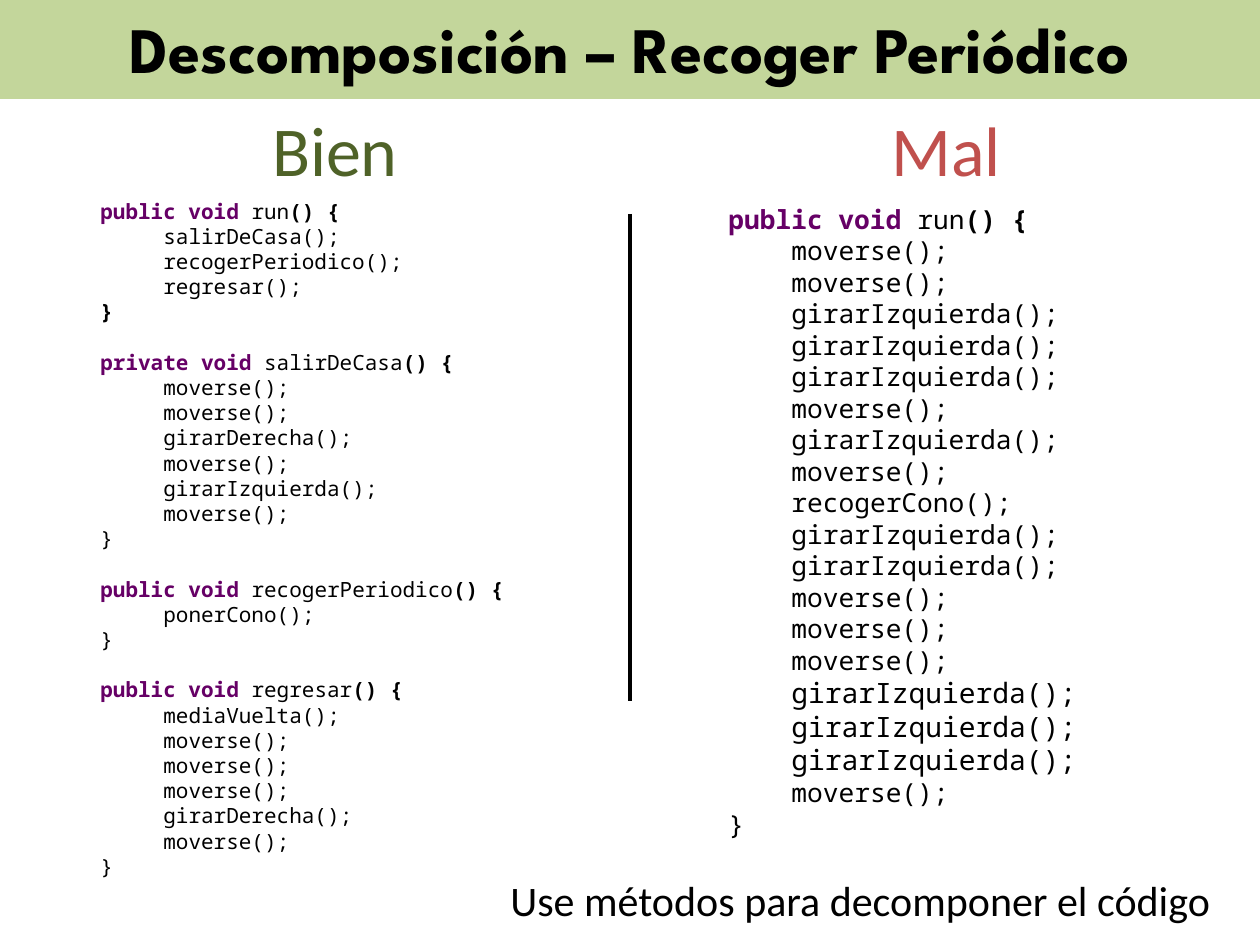
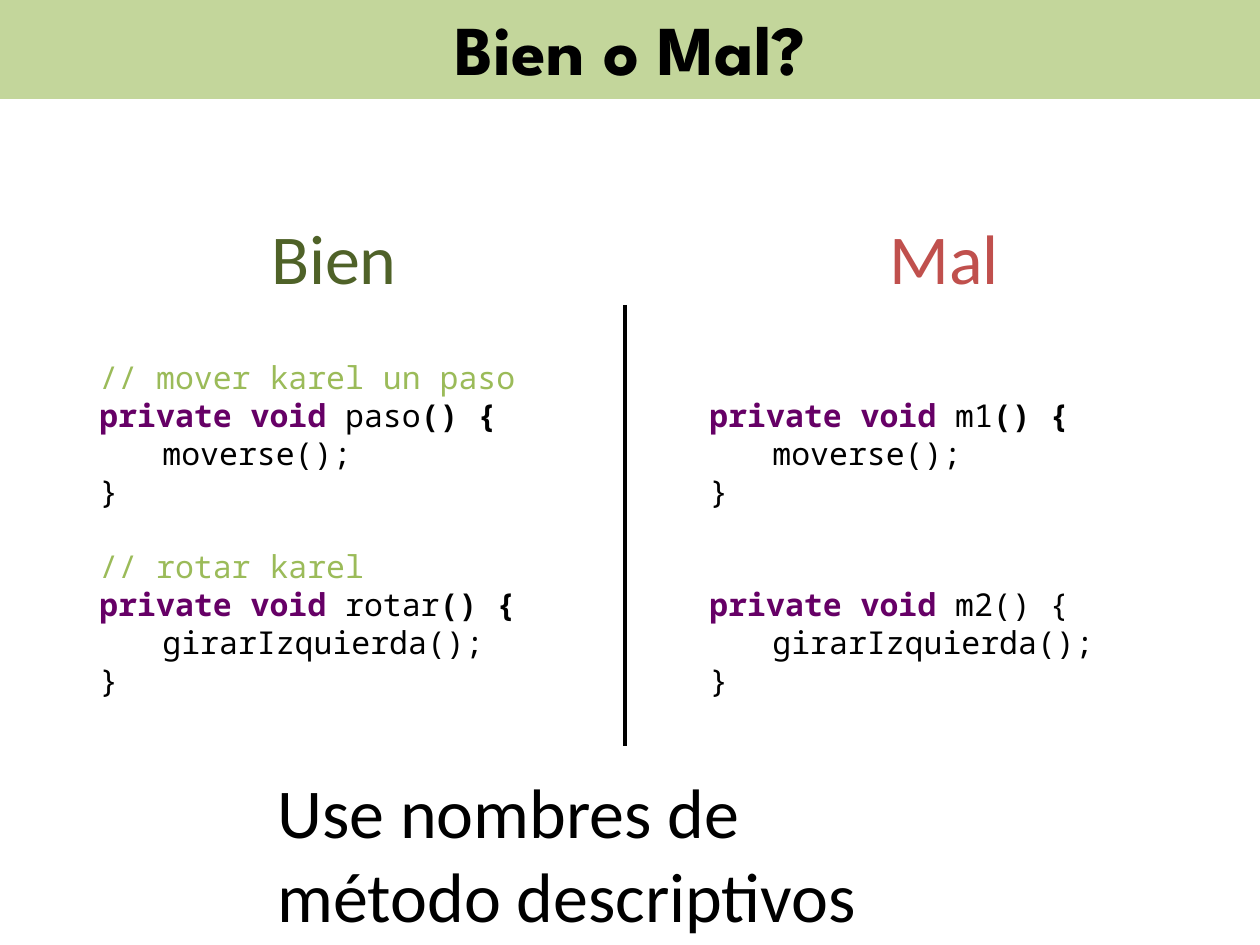
from lxml import etree
from pptx import Presentation
from pptx import util as u
from pptx.dml.color import RGBColor
from pptx.enum import shapes, text
from pptx.oxml.ns import qn

PX = 914400 / 126
COLORS = {
    "band": "C3D69B", "black": "000000", "white": "FFFFFF",
    "good": "4F6228", "bad": "C0504D", "keyword": "660066", "comment": "9BBB59",
}
TITLE_FONT, BODY_FONT, CODE_FONT = "League Spartan", "Calibri", "Noto Sans Mono"
TAB = 63          # indent of a code line
LINE_PITCH = 1.2  # code line height per point of size


def emu(*lengths):
    return [u.Emu(round(n * PX)) for n in lengths]


def put_text(s, content, box, size=40, font=BODY_FONT, color="black", bold=False,
             center=False, fill=None, middle=False, code=False, larger=()):
    """Lines of text; in code, *...* is bold and bold words are keywords."""
    sp = s.shapes.add_textbox(*emu(*box))
    if fill:
        sp.fill.solid()
        sp.fill.fore_color.rgb = RGBColor.from_string(COLORS[fill])
    tf = sp.text_frame
    tf.word_wrap = True
    tf.vertical_anchor = text.MSO_ANCHOR.MIDDLE if middle else text.MSO_ANCHOR.TOP
    blanks, p = 0, None
    for i, line in enumerate(content.strip().split("\n")):
        if not line:
            blanks += 1
            continue
        p = tf.add_paragraph() if p is not None else tf.paragraphs[0]
        p.alignment = text.PP_ALIGN.CENTER if center else text.PP_ALIGN.LEFT
        points = size + 1 if i in larger else size
        if code:
            p.line_spacing = u.Pt(points * LINE_PITCH)
            p.space_before = u.Pt(blanks * size * LINE_PITCH)
            tabs = etree.SubElement(p._p.get_or_add_pPr(), qn("a:tabLst"))
            etree.SubElement(tabs, qn("a:tab"), pos=str(emu(TAB)[0]), algn="l")
            line = line.replace("    ", "\t")
        blanks = 0
        for n, part in enumerate(line.split("*") if code else [line]):
            if not part:
                continue
            r = p.add_run()
            r.text = part
            r.font.name, r.font.size = font, u.Pt(points)
            r.font.bold = bold or n % 2 == 1
            tone = color
            if code and part.startswith("//"):
                tone = "comment"
            elif n % 2 and part.startswith("p"):
                tone = "keyword"
            r.font.color.rgb = RGBColor.from_string(COLORS[tone])


prs = Presentation()
prs.slide_width, prs.slide_height = emu(1260, 945)

# Code samples
run_good = """
*public void *run*() {*
    salirDeCasa();
    recogerPeriodico();
    regresar();
*}*

*private void *salirDeCasa*() {*
    moverse();
    moverse();
    girarDerecha();
    moverse();
    girarIzquierda();
    moverse();
}

*public void *recogerPeriodico*() {*
    ponerCono();
}

*public void *regresar*() {*
    mediaVuelta();
    moverse();
    moverse();
    moverse();
    girarDerecha();
    moverse();
}
"""
run_bad = """
*public void *run*() {*
    moverse();
    moverse();
    girarIzquierda();
    girarIzquierda();
    girarIzquierda();
    moverse();
    girarIzquierda();
    moverse();
    recogerCono();
    girarIzquierda();
    girarIzquierda();
    moverse();
    moverse();
    moverse();
    girarIzquierda();
    girarIzquierda();
    girarIzquierda();
    moverse();
}
"""
names_good = """
// mover karel un paso
*private void *paso*() {*
    moverse();
}

// rotar karel
*private void *rotar*() {*
    girarIzquierda();
}
"""
names_bad = """
*private void *m1*() {*
    moverse();
}


*private void *m2() {
    girarIzquierda();
}
"""

slides = [
    dict(title="Descomposición – Recoger Periódico", title_size=37,
         good_x=88, bad_x=699, heading_y=100, divider=(630, 214, 630, 701),
         caption="Use métodos para decomponer el código",
         caption_box=(498, 868, 728, 63), caption_size=24, caption_fill="white",
         samples=[(run_bad, (716, 197, 630, 653), 15, range(15, 18)),
                  (run_good, (88, 192, 630, 699), 12, ())]),
    dict(title="Bien o Mal?", title_size=40,
         good_x=87, bad_x=697, heading_y=208, divider=(625, 305, 625, 746),
         caption="Use nombres de método descriptivos",
         caption_box=(265, 762, 722, 183), caption_size=40, caption_fill=None,
         samples=[(names_bad, (697, 390, 457, 319), 18, ()),
                  (names_good, (87, 352, 522, 394), 18, ())]),
]

for d in slides:
    s = prs.slides.add_slide(prs.slide_layouts[6])

    # Title band
    put_text(s, d["title"], (0, -4, 1260, 103), size=d["title_size"], font=TITLE_FONT,
             bold=True, center=True, middle=True, fill="band")

    # Column headings
    for heading, x, color in (("Bien", d["good_x"], "good"), ("Mal", d["bad_x"], "bad")):
        put_text(s, heading, (x, d["heading_y"], 494, 97), color=color, center=True)

    # Divider between the columns
    line = s.shapes.add_connector(shapes.MSO_CONNECTOR.STRAIGHT, *emu(*d["divider"]))
    line.line.color.rgb = RGBColor.from_string(COLORS["black"])
    line.line.width = u.Pt(2)
    etree.SubElement(line._element.spPr, qn("a:effectLst"))

    # Advice and code
    put_text(s, d["caption"], d["caption_box"], size=d["caption_size"],
             fill=d["caption_fill"])
    for sample, box, size, larger in d["samples"]:
        put_text(s, sample, box, size=size, font=CODE_FONT, code=True, larger=larger)

prs.save("out.pptx")
